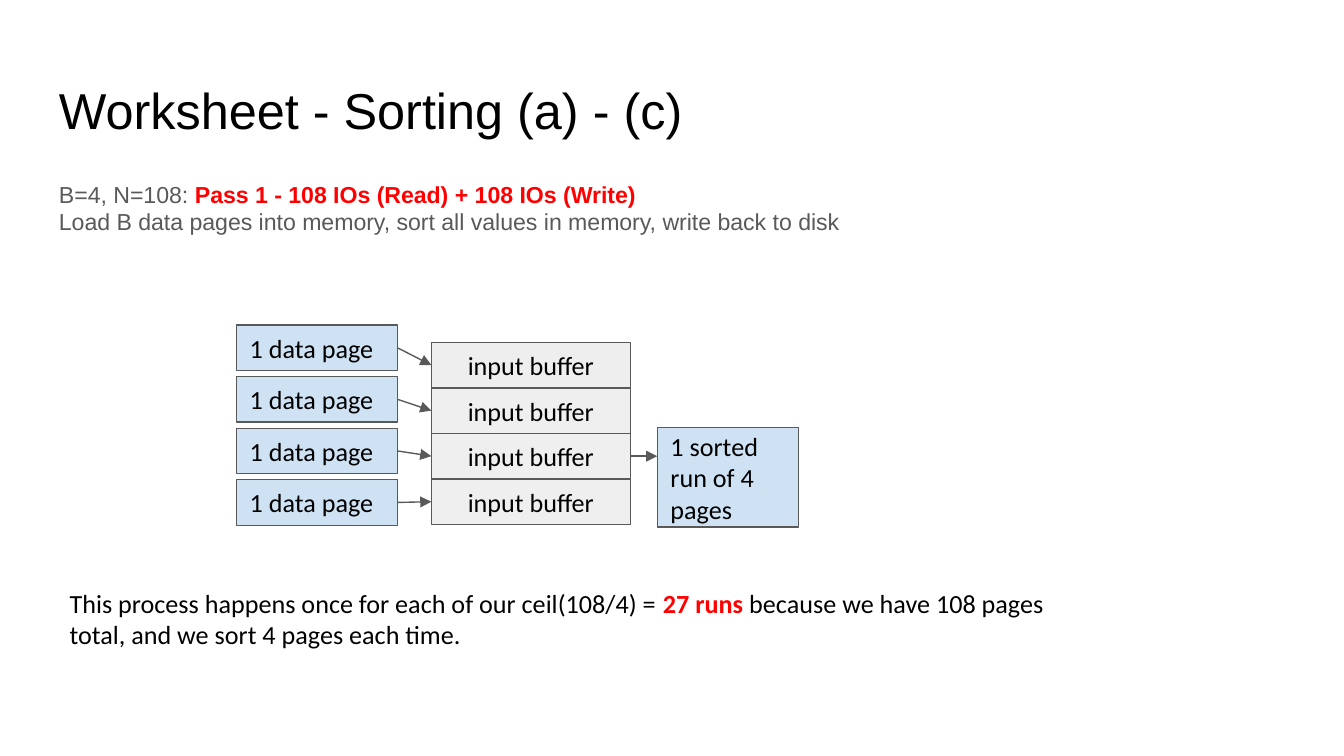
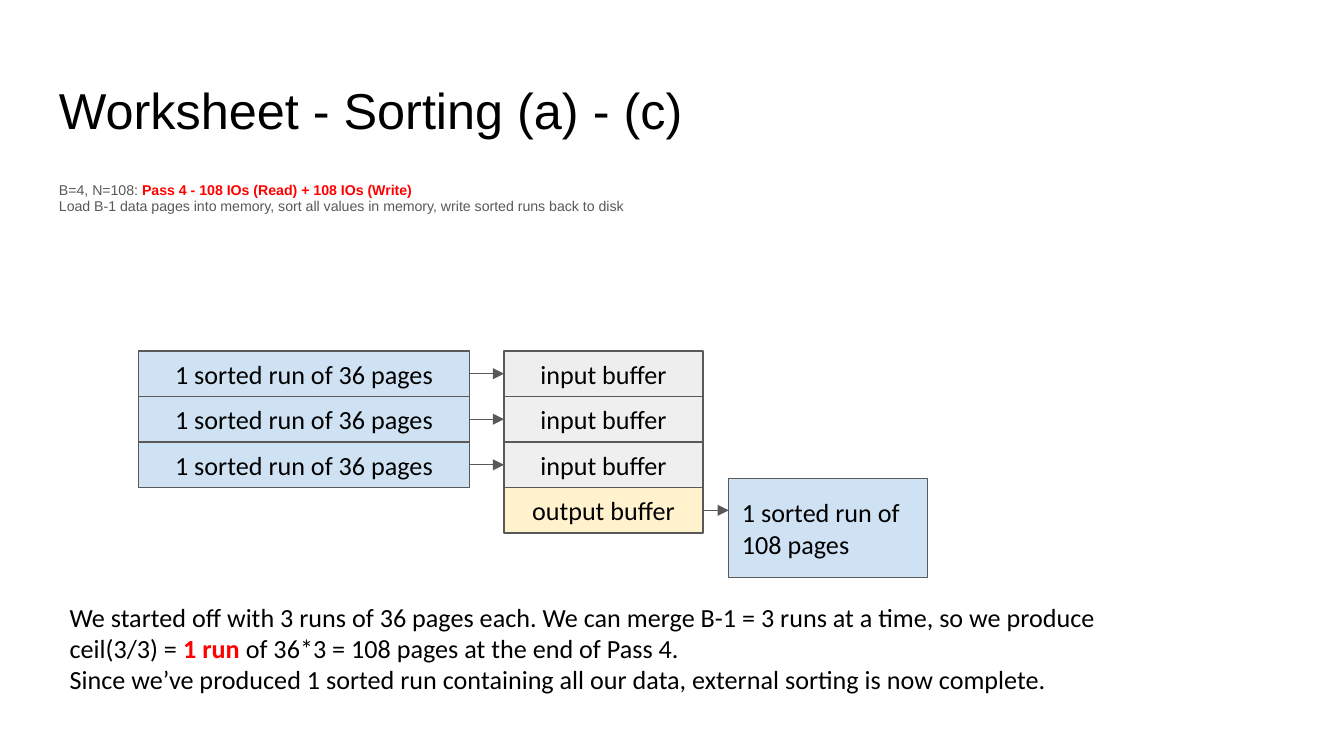
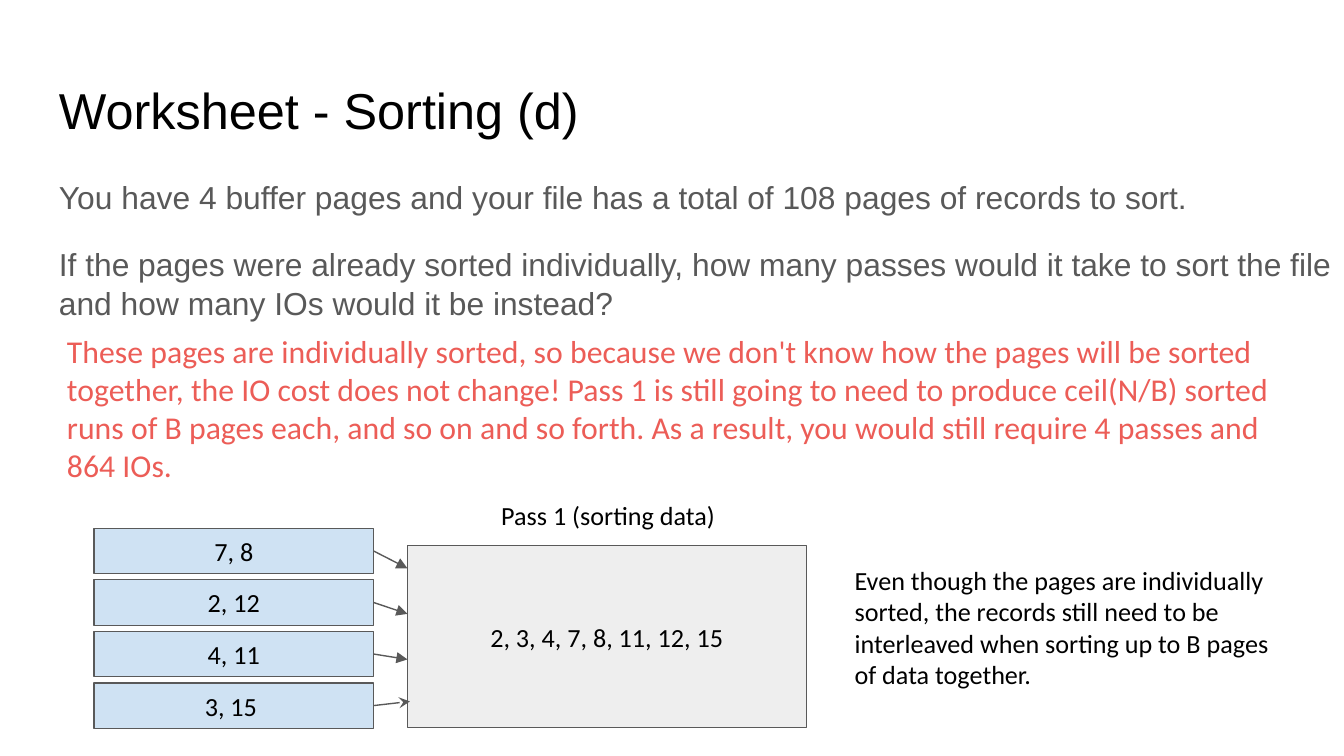
from lxml.etree import SubElement
from pptx import Presentation
from pptx.dml.color import RGBColor
from pptx.enum.shapes import MSO_CONNECTOR, MSO_SHAPE
from pptx.enum.text import MSO_ANCHOR, PP_ALIGN
from pptx.oxml.ns import qn
from pptx.util import Pt

BLACK, GRAY, RED, CORAL = "000000", "595959", "FF0000", "EC5D57"
PAGE_FILL, OUTPUT_FILL = "CFE2F3", "FFF2CC"
TOP_BUFFER_FILL, BUFFER_FILL = "EEEEEE", "EFEFEF"
CENTER = PP_ALIGN.CENTER
INSET = 7.2
ROW_HEIGHT, PAGE_PITCH = 24.4, 27.6
BUFFER_WIDTH, RESULT_HEIGHT = 106.6, 53.3


def color(value):
    """Turn a hex string into a colour."""
    return RGBColor.from_string(value)


def write_text(shape, paragraphs, size=14, font="Calibri", ink=BLACK, align=PP_ALIGN.LEFT,
               anchor=MSO_ANCHOR.TOP, line_spacing=None, gap=None):
    """Fill a shape with paragraphs, each a list of plain strings or (text, True) highlights."""
    frame = shape.text_frame
    frame.word_wrap = True
    frame.vertical_anchor = anchor
    frame.margin_left = frame.margin_right = Pt(INSET)
    frame.margin_top = frame.margin_bottom = Pt(INSET)
    for index, parts in enumerate(paragraphs):
        paragraph = frame.add_paragraph() if index else frame.paragraphs[0]
        paragraph.alignment = align
        if line_spacing:
            paragraph.line_spacing = line_spacing
        if gap and index:
            paragraph.space_before = Pt(gap)
        for part in parts:
            text, highlighted = (part, False) if isinstance(part, str) else part
            run = paragraph.add_run()
            run.text = text
            run.font.name = font
            run.font.size = Pt(size)
            run.font.bold = highlighted
            run.font.color.rgb = color(RED if highlighted else ink)


def add_text(slide, box, paragraphs, **text_format):
    """Add a text box at (left, top, width, height)."""
    write_text(slide.shapes.add_textbox(*map(Pt, box)), paragraphs, **text_format)


def add_box(slide, box, text, fill, align=CENTER):
    """Add an outlined rectangle with vertically centred text."""
    shape = slide.shapes.add_shape(MSO_SHAPE.RECTANGLE, *map(Pt, box))
    shape.shadow.inherit = False
    shape.fill.solid()
    shape.fill.fore_color.rgb = color(fill)
    shape.line.color.rgb = color(GRAY)
    shape.line.width = Pt(0.75)
    write_text(shape, [[text]], align=align, anchor=MSO_ANCHOR.MIDDLE)


def add_arrow(slide, start, end, head="triangle"):
    """Draw a thin arrow between two points."""
    connector = slide.shapes.add_connector(MSO_CONNECTOR.STRAIGHT, *map(Pt, start + end))
    connector.line.color.rgb = color(GRAY)
    connector.line.width = Pt(0.75)
    SubElement(connector.line._get_or_add_ln(), qn("a:tailEnd"), type=head)
    SubElement(connector._element.spPr, qn("a:effectLst"))


def add_stack(slide, left, top, width, rows, pitch=ROW_HEIGHT, align=CENTER):
    """Stack equal boxes for (text, fill) rows and return their right edge and middles."""
    for index, (text, fill) in enumerate(rows):
        add_box(slide, (left, top + index * pitch, width, ROW_HEIGHT), text, fill, align)
    return left + width, middles(top, len(rows), pitch)


def middles(top, count, pitch=ROW_HEIGHT):
    """Return the vertical middles of evenly pitched rows."""
    return [top + index * pitch + ROW_HEIGHT / 2 for index in range(count)]


def add_links(slide, start_x, start_middles, end_x, end_middles):
    """Join two columns of rows pairwise with arrows."""
    for start_y, end_y in zip(start_middles, end_middles):
        add_arrow(slide, (start_x, start_y), (end_x, end_y))


def add_buffers(slide, left, top, last_row, out_row, result_box, result):
    """Draw four memory buffers with one leading to the result; return their middles."""
    rows = [("input buffer", TOP_BUFFER_FILL)] + [("input buffer", BUFFER_FILL)] * 2 + [last_row]
    right, row_middles = add_stack(slide, left, top, BUFFER_WIDTH, rows)
    add_box(slide, result_box, result, PAGE_FILL, PP_ALIGN.LEFT)
    add_arrow(slide, (right, row_middles[out_row]), (result_box[0], row_middles[out_row]))
    return row_middles


def add_titled_slide(presentation, title):
    """Add a blank slide with the shared title."""
    slide = presentation.slides.add_slide(presentation.slide_layouts[6])
    add_text(slide, (24.5, 35.3, 671, 45.4), [[title]], size=27, font="Arial")
    return slide


def add_pass_slide(presentation, highlight, action, size):
    """Add a slide headed by the cost and the action of one sorting pass."""
    slide = add_titled_slide(presentation, "Worksheet - Sorting (a) - (c)")
    add_text(slide, (24.5, 90.7, 663, 58.3), [["B=4, N=108: ", (highlight, True)], [action]],
             size=size, font="Arial", ink=GRAY, line_spacing=0.95)
    return slide


def build_first_pass(presentation):
    """Show four data pages sorted into one run."""
    slide = add_pass_slide(presentation, "Pass 1 - 108 IOs (Read) + 108 IOs (Write)",
                           "Load B data pages into memory, sort all values in memory, write back to disk", 12.4)
    buffer_left = 231.1
    page_right, page_middles = add_stack(slide, 126.7, 174.2, 86.4, [("1 data page", PAGE_FILL)] * 4,
                                         PAGE_PITCH, PP_ALIGN.LEFT)
    buffer_middles = add_buffers(slide, buffer_left, 183.4, ("input buffer", BUFFER_FILL), 2,
                                 (352.1, 229, 75.6, RESULT_HEIGHT), "1 sorted run of 4 pages")
    add_links(slide, page_right, page_middles, buffer_left, buffer_middles)
    add_text(slide, (30.2, 307.4, 563, 77), [
        ["This process happens once for each of our ceil(108/4) = ", ("27 runs", True),
         " because we have 108 pages total, and we sort 4 pages each time."]])


def build_last_pass(presentation):
    """Show three long runs merged into the final one."""
    slide = add_pass_slide(presentation, "Pass 4 - 108 IOs (Read) + 108 IOs (Write)",
                           "Load B-1 data pages into memory, sort all values in memory, "
                           "write sorted runs back to disk", 7.6)
    buffer_left, top = 270, 188
    run_right, run_middles = add_stack(slide, 74.3, top, 177.4,
                                       [("1 sorted run of 36 pages", PAGE_FILL)] * 3)
    buffer_middles = add_buffers(slide, buffer_left, top, ("output buffer", OUTPUT_FILL), 3,
                                 (390.4, 256.3, BUFFER_WIDTH, RESULT_HEIGHT), "1 sorted run of 108 pages")
    add_links(slide, run_right, run_middles, buffer_left, buffer_middles)
    add_text(slide, (30.2, 314.8, 598.3, 69), [
        ["We started off with 3 runs of 36 pages each. We can merge B-1 = 3 runs at a time, "
         "so we produce ceil(3/3) = ", ("1 run", True), " of 36*3 = 108 pages at the end of Pass 4."],
        ["Since we’ve produced 1 sorted run containing all our data, external sorting is now complete."]])


def build_sorted_pages(presentation):
    """Explain why individually sorted pages do not change the cost."""
    slide = add_titled_slide(presentation, "Worksheet - Sorting (d)")
    add_text(slide, (24.5, 87.8, 704.2, 172.8), [
        ["You have 4 buffer pages and your file has a total of 108 pages of records to sort."],
        ["If the pages were already sorted individually, how many passes would it take to sort the file "
         "and how many IOs would it be instead?"]], size=17, font="Arial", ink=GRAY, gap=16)
    add_text(slide, (28.8, 170.6, 682.6, 90), [
        ["These pages are individually sorted, so because we don't know how the pages will be sorted "
         "together, the IO cost does not change! Pass 1 is still going to need to produce ceil(N/B) "
         "sorted runs of B pages each, and so on and so forth. As a result, you would still require "
         "4 passes and 864 IOs."]], size=17, ink=CORAL)
    add_text(slide, (450.7, 295.2, 238.3, 99.4), [
        ["Even though the pages are individually sorted, the records still need to be interleaved "
         "when sorting up to B pages of data together."]])
    memory_left, memory_top = 218.3, 292.3
    rows = [(values, PAGE_FILL) for values in ("7, 8", "2, 12", "4, 11", "3, 15 ")]
    page_right, page_middles = add_stack(slide, 50.4, 283, 149.8, rows, PAGE_PITCH)
    add_box(slide, (memory_left, memory_top, 213.8, 4 * ROW_HEIGHT), "2, 3, 4, 7, 8, 11, 12, 15",
            TOP_BUFFER_FILL)
    add_links(slide, page_right, page_middles[:3], memory_left, middles(memory_top, 3))
    add_arrow(slide, (page_right, page_middles[3]), (219.6, 375.8), "stealth")
    add_text(slide, (252, 260.6, 147.6, 31.7), [["Pass 1 (sorting data)"]], align=CENTER)


def main():
    """Build and save the presentation."""
    presentation = Presentation()
    presentation.slide_width, presentation.slide_height = Pt(720), Pt(405)
    build_first_pass(presentation)
    build_last_pass(presentation)
    build_sorted_pages(presentation)
    presentation.save("out.pptx")


if __name__ == "__main__":
    main()
